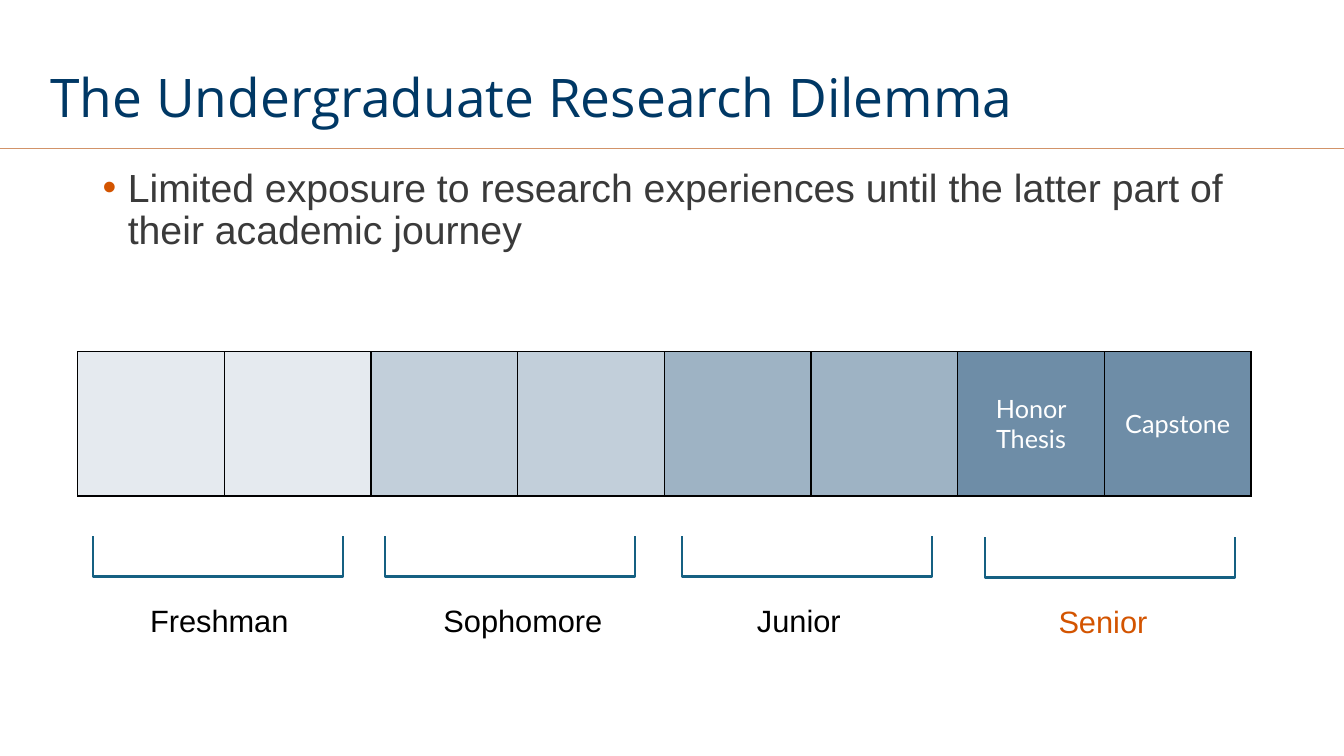
from pptx import Presentation
from pptx.dml.color import RGBColor
from pptx.enum.shapes import MSO_CONNECTOR, MSO_SHAPE
from pptx.enum.text import MSO_ANCHOR, MSO_AUTO_SIZE, PP_ALIGN
from pptx.oxml import parse_xml
from pptx.oxml.ns import nsdecls, qn
from pptx.util import Inches, Pt
from lxml.etree import SubElement

TITLE = "The Undergraduate Research Dilemma"
POINT = ("Limited exposure to research experiences until the latter part of "
         "their academic journey")
NAVY, ORANGE, BLACK, WHITE = "003865", "D35400", "000000", "FFFFFF"
YEARS = [
    {"name": "Freshman", "color": BLACK, "opacity": 10, "terms": ["", ""],
     "label": (1.39, 5.92, 1.59), "bracket": (1.96, 4.28)},
    {"name": "Sophomore", "color": BLACK, "opacity": 24, "terms": ["", ""],
     "label": (4.3, 5.92, 1.8), "bracket": (4.86, 4.28)},
    {"name": "Junior", "color": BLACK, "opacity": 38, "terms": ["", ""],
     "label": (7.41, 5.92, 1.04), "bracket": (7.8, 4.28)},
    {"name": "Senior", "color": ORANGE, "opacity": 57,
     "terms": ["Honor Thesis", "Capstone"],
     "label": (10.4, 5.93, 1.09), "bracket": (10.81, 4.29)},
]


def rgb(value):
    return RGBColor.from_string(value)


def write(frame, text, size, font, color):
    frame.text = text
    para = frame.paragraphs[0]
    for span in para.runs:
        span.font.size = Pt(size)
        span.font.name = font
        span.font.color.rgb = rgb(color)
    return para


def add_title(page):
    title = page.shapes.title
    title.left, title.top = Inches(0), Inches(0.52)
    title.width, title.height = Inches(13.33), Inches(0.95)
    frame = title.text_frame
    frame.auto_size = MSO_AUTO_SIZE.NONE
    frame.vertical_anchor = MSO_ANCHOR.MIDDLE
    frame.margin_left = Inches(0.5)
    para = write(frame, TITLE, 38, "Open Sans", NAVY)
    para.alignment = PP_ALIGN.LEFT
    para.line_spacing = 0.9


def add_rule(page):
    rule = page.shapes.add_connector(
        MSO_CONNECTOR.STRAIGHT, Inches(0), Inches(1.47), Inches(13.33), Inches(1.47))
    rule.line.color.rgb = rgb("D29369")
    rule.line.width = Pt(0.5)
    SubElement(rule.element.spPr, qn("a:effectLst"))


def add_point(page):
    box = page.shapes.add_textbox(Inches(0.92), Inches(1.62), Inches(11.5), Inches(1.07))
    box.text_frame.word_wrap = True
    para = write(box.text_frame, POINT, 28, "Arial", "3A3A3A")
    para.line_spacing = 0.9
    para.space_before = Pt(10)
    properties = para._p.get_or_add_pPr()
    properties.set("marL", str(Inches(0.25)))
    properties.set("indent", str(-Inches(0.25)))
    bullet_color = SubElement(properties, qn("a:buClr"))
    SubElement(bullet_color, qn("a:srgbClr"), val=ORANGE)
    SubElement(properties, qn("a:buFont"), typeface="Arial")
    SubElement(properties, qn("a:buChar"), char="•")


def format_cell(cell, opacity):
    cell.fill.solid()
    cell.fill.fore_color.rgb = rgb(NAVY)
    properties = cell._tc.get_or_add_tcPr()
    color = properties.find(".//" + qn("a:srgbClr"))
    SubElement(color, qn("a:alpha"), val=str(opacity * 1000))
    for position, side in enumerate(("lnL", "lnR", "lnT", "lnB")):
        border = parse_xml(
            f'<a:{side} {nsdecls("a")} w="{Pt(1)}"><a:solidFill>'
            f'<a:srgbClr val="{BLACK}"/></a:solidFill></a:{side}>')
        properties.insert(position, border)


def add_timeline(page):
    terms = [(term, year["opacity"]) for year in YEARS for term in year["terms"]]
    table = page.shapes.add_table(
        1, len(terms), Inches(0.77), Inches(3.49), Inches(11.64), Inches(1.43)).table
    table.first_row = False
    table.horz_banding = False
    for column, (term, opacity) in enumerate(terms):
        cell = table.cell(0, column)
        format_cell(cell, opacity)
        if term:
            cell.vertical_anchor = MSO_ANCHOR.MIDDLE
            para = write(cell.text_frame, term, 18, "Lato", WHITE)
            para.alignment = PP_ALIGN.CENTER


def add_year(page, year):
    left, top, width = year["label"]
    box = page.shapes.add_textbox(Inches(left), Inches(top), Inches(width), Inches(0.47))
    box.text_frame.word_wrap = False
    box.text_frame.auto_size = MSO_AUTO_SIZE.SHAPE_TO_FIT_TEXT
    write(box.text_frame, year["name"], 22, "Arial", year["color"])

    left, top = year["bracket"]
    bracket = page.shapes.add_shape(
        MSO_SHAPE.RIGHT_BRACKET, Inches(left), Inches(top), Inches(0.4), Inches(2.48))
    bracket.rotation = 90
    bracket.adjustments[0] = 0
    bracket.shadow.inherit = False
    bracket.fill.background()
    bracket.line.color.rgb = rgb("156082")
    bracket.line.width = Pt(1.5)


def main():
    deck = Presentation()
    deck.slide_width, deck.slide_height = Inches(13.33), Inches(7.5)
    page = deck.slides.add_slide(deck.slide_layouts[5])
    add_rule(page)
    add_title(page)
    add_point(page)
    add_timeline(page)
    for year in YEARS:
        add_year(page, year)
    deck.save("out.pptx")


if __name__ == "__main__":
    main()
